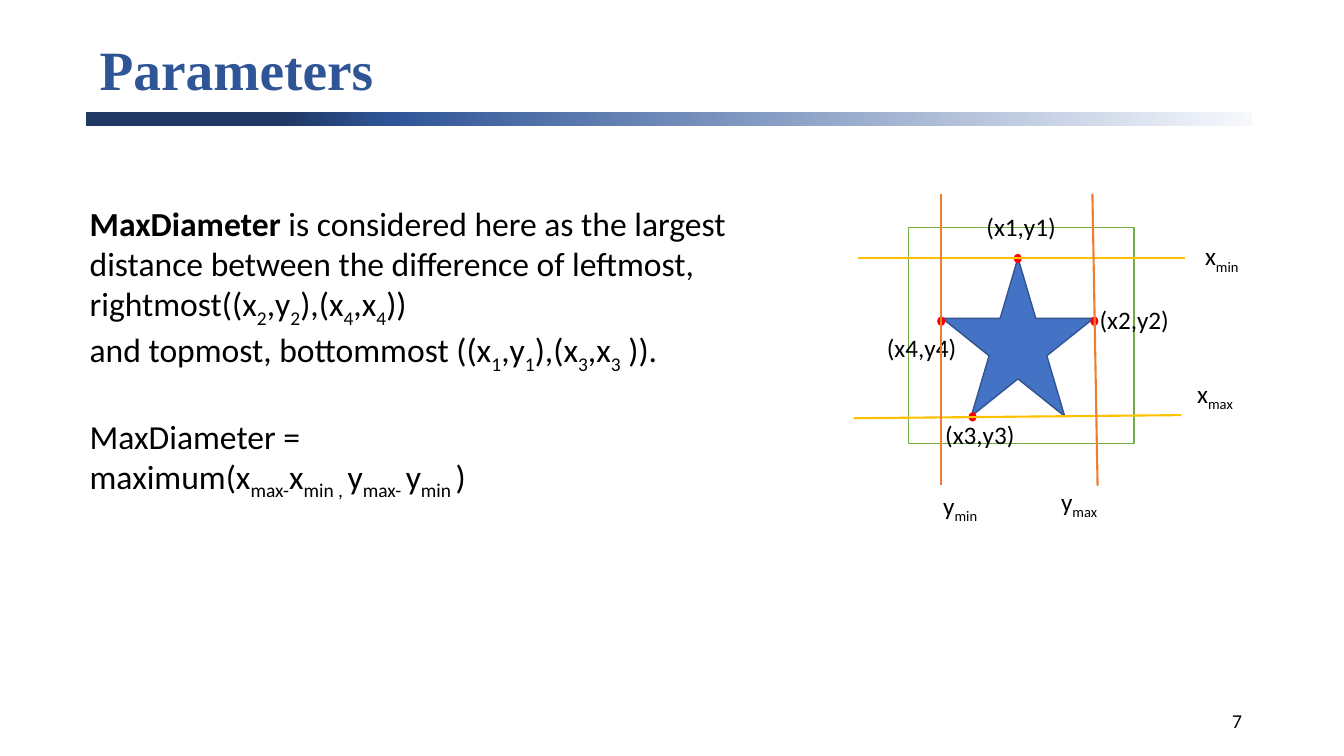
from lxml import etree
from pptx import Presentation
from pptx.dml.color import RGBColor
from pptx.enum.shapes import MSO_CONNECTOR, MSO_SHAPE
from pptx.enum.text import MSO_ANCHOR, MSO_AUTO_SIZE, PP_ALIGN
from pptx.oxml.ns import qn
from pptx.util import Cm, Pt

COLORS = {
    "navy": "203864", "title": "2F5597", "pale": "F6F8FC", "black": "000000",
    "white": "FFFFFF", "frame": "70AD47", "star": "4472C4",
    "star_edge": "325491", "dot": "FF0000", "x_line": "FFC000", "y_line": "ED7D31",
}


def add_text(place, lines, size, font="Calibri", color="black", wrap=False):
    """Add a text box; parts between a pair of | are subscripts."""
    box = slide.shapes.add_textbox(*map(Cm, place))
    frame = box.text_frame
    frame.word_wrap = wrap
    frame.auto_size = MSO_AUTO_SIZE.SHAPE_TO_FIT_TEXT
    for index, line in enumerate(lines):
        para = frame.add_paragraph() if index else frame.paragraphs[0]
        for part, words in enumerate(line.split("|")):
            if not words:
                continue
            span = para.add_run()
            span.text = words
            span.font.size = Pt(size)
            span.font.name = font
            span.font.color.rgb = RGBColor.from_string(COLORS[color])
            if part % 2:
                span.font._element.set("baseline", "-25000")
    return frame


def add_figure(kind, place, fill, edge=None):
    shape = slide.shapes.add_shape(kind, *map(Cm, place))
    shape.shadow.inherit = False
    shape.fill.solid()
    shape.fill.fore_color.rgb = RGBColor.from_string(COLORS[fill])
    if edge:
        shape.line.color.rgb = RGBColor.from_string(COLORS[edge])
        shape.line.width = Pt(1)
    else:
        shape.line.fill.background()
    return shape


deck = Presentation()
deck.slide_width, deck.slide_height = Cm(33.87), Cm(19.05)
slide = deck.slides.add_slide(deck.slide_layouts[6])

# Heading with its fading bar
bar = add_figure(MSO_SHAPE.RECTANGLE, (2.16, 2.83, 29.39, 0.34), "navy")
bar.fill.gradient()
bar.fill.gradient_angle = 0
stops = bar._element.spPr.find(".//" + qn("a:gsLst"))
stops.clear()
for percent, color in ((0, "navy"), (17, "navy"), (26, "title"), (100, "pale")):
    stop = etree.SubElement(stops, qn("a:gs"), pos=str(percent * 1000))
    etree.SubElement(stop, qn("a:srgbClr"), val=COLORS[color])

title = add_text((2.26, 0.94, 29.21, 1.8), ["Parameters"], 39.6,
                 "Times New Roman", "title", wrap=True)
title.auto_size = MSO_AUTO_SIZE.NONE
title.vertical_anchor = MSO_ANCHOR.MIDDLE
title.paragraphs[0].line_spacing = 0.9
title.paragraphs[0].runs[0].font.bold = True

number = add_text((23.93, 17.65, 7.62, 1.02), ["7"], 14, wrap=True)
number.auto_size = MSO_AUTO_SIZE.NONE
number.vertical_anchor = MSO_ANCHOR.MIDDLE
number.paragraphs[0].alignment = PP_ALIGN.RIGHT

# Star with its extreme points and bounding lines
add_figure(MSO_SHAPE.RECTANGLE, (22.89, 5.74, 5.69, 5.44), "white", "frame")
add_figure(MSO_SHAPE.STAR_5_POINT, (23.75, 6.5, 3.81, 3.99), "star", "star_edge")

points = [
    ("(x1,y1)", (24.61, 5.21), (25.55, 6.4)),
    ("(x2,y2)", (27.46, 7.54), (27.48, 7.98)),
    ("(x3,y3)", (23.57, 10.44), (24.41, 10.39)),
    ("(x4,y4)", (22.1, 8.26), (23.62, 7.98)),
]
for label, label_corner, dot_corner in points:
    add_text((*label_corner, 2.97, 1.37), [label], 18)
    add_figure(MSO_SHAPE.OVAL, (*dot_corner, 0.2, 0.23), "dot")

bounds = [
    ("x|min|", (30.12, 5.94), "x_line", (21.62, 6.5, 29.87, 6.5)),
    ("x|max|", (29.92, 9.4), "x_line", (21.51, 10.54, 29.77, 10.46)),
    ("y|min|", (23.52, 12.22), "y_line", (23.72, 4.88, 23.72, 12.22)),
    ("y|max|", (26.49, 12.12), "y_line", (27.66, 12.24, 27.53, 4.88)),
]
for label, label_corner, color, ends in bounds:
    line = slide.shapes.add_connector(MSO_CONNECTOR.STRAIGHT, *map(Cm, ends))
    line.line.color.rgb = RGBColor.from_string(COLORS[color])
    line.line.width = Pt(1.5)
    etree.SubElement(line._element.spPr, qn("a:effectLst"))
    add_text((*label_corner, 1.83, 1.37), [label], 18)

# Definition
definition = add_text((2.01, 4.98, 18.49, 7.44), [
    "MaxDiameter|| is considered here as the largest distance between the "
    "difference of leftmost, rightmost((x|2|,y|2|),(x|4|,x|4|))",
    "and topmost, bottommost ((x|1|,y|1|),(x|3|,x|3| )).",
    "MaxDiameter =",
    "maximum(x|max-|x|min , |y|max- |y|min |)",
], 24, wrap=True)
definition.paragraphs[0].runs[0].font.bold = True
definition.paragraphs[2].space_before = Pt(29)

deck.save("out.pptx")
